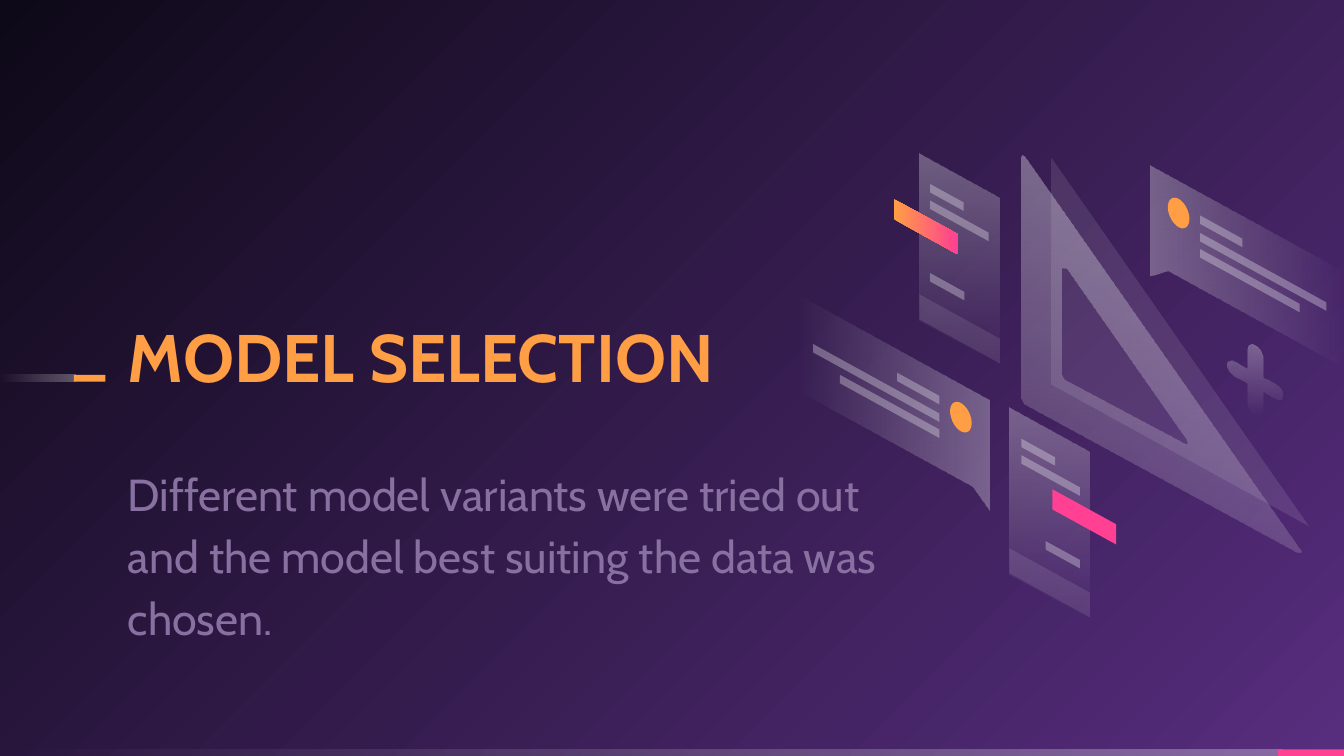
from math import cos, sin, pi
from lxml.etree import SubElement
from pptx import Presentation
from pptx.dml.color import RGBColor
from pptx.enum.shapes import MSO_SHAPE
from pptx.enum.text import MSO_ANCHOR, MSO_AUTO_SIZE, PP_ALIGN
from pptx.oxml.ns import qn
from pptx.util import Inches, Pt

COLORS = {"white": "FFFFFF", "orange": "FF9E44", "pink": "FF4093",
          "mauve": "8870A0", "violet": "572D7E", "night": "0E0918"}
# A fill is a list of (color, opacity) stops and an angle
FADE = [("white", 30), ("white", 0)]
LINE = [("white", 30)]
PALE = [("white", 10)]
ORANGE, PINK = [("orange", 100)], [("pink", 100)]
SLOPE = 0.55  # fall of the skewed artwork, per unit of width

deck = Presentation()
deck.slide_width = Inches(10)
deck.slide_height = deck.slide_width * 9 // 16
CELL = deck.slide_width / 100  # grid of 100 columns, square cells
slide = deck.slides.add_slide(deck.slide_layouts[5])
shapes = slide.shapes


def paint(shape, stops, angle=0):
    """Fill a shape with one color or a gradient, without line or shadow."""
    shape.shadow.inherit = False
    shape.line.fill.background()
    if len(stops) == 1:
        shape.fill.solid()
        shape.fill.fore_color.rgb = RGBColor.from_string(COLORS[stops[0][0]])
    else:
        shape.fill.gradient()
        shape.fill.gradient_angle = -angle % 360
        for stop, (name, _) in zip(shape.fill.gradient_stops, stops):
            stop.color.rgb = RGBColor.from_string(COLORS[name])
    nodes = shape._element.spPr.iter(qn("a:srgbClr"))
    for node, (_, alpha) in zip(nodes, stops):
        if alpha < 100:
            SubElement(node, qn("a:alpha"), val=str(alpha * 1000))


def box(u, v, w, h):
    """Corners of a block before it is skewed."""
    return [[(u, v), (u + w, v), (u + w, v + h), (u, v + h)]]


# Background glow from the bottom right corner
back = slide.background.fill
back.gradient()
for stop, name in zip(back.gradient_stops, ("violet", "night")):
    stop.color.rgb = RGBColor.from_string(COLORS[name])
grad = next(slide._element.iter(qn("a:gradFill")))
grad.remove(grad.find(qn("a:lin")))
glow = SubElement(grad, qn("a:path"), path="circle")
SubElement(glow, qn("a:fillToRect"), l="100000", t="100000")

# Footer bar and title dash
for x, y, w, stops in [(0, 55.75, 95.4, FADE), (95.1, 55.75, 4.9, PINK),
                       (0, 27.9, 5.6, FADE), (5.5, 27.9, 2.35, ORANGE)]:
    bar = shapes.add_shape(MSO_SHAPE.RECTANGLE, *(int(n * CELL) for n in (x, y, w, 0.5)))
    paint(bar, stops, 180)

# Title and subtitle
sub = shapes.add_textbox(0, 0, 0, 0)
for item, top, high, text, size, name, gap in [
        (shapes.title, 22.9, 12.7, "MODEL SELECTION", 36, "orange", 0.9),
        (sub, 34.15, 4.7, "Different model variants were tried out and the model "
         "best suiting the data was chosen.", 24, "mauve", 1.15)]:
    item.left, item.top = int(9.5 * CELL), int(top * CELL)
    item.width, item.height = int(55.9 * CELL), int(high * CELL)
    frame = item.text_frame
    frame.word_wrap, frame.auto_size = True, MSO_AUTO_SIZE.NONE
    frame.margin_left = frame.margin_right = frame.margin_top = frame.margin_bottom = 0
    frame.vertical_anchor = MSO_ANCHOR.TOP
    para = frame.paragraphs[0]
    para.alignment, para.line_spacing = PP_ALIGN.LEFT, gap
    run = para.add_run()
    run.text = text
    run.font.name, run.font.size = "Cabin", Pt(size)
    run.font.bold = item is not sub
    run.font.color.rgb = RGBColor.from_string(COLORS[name])
shapes.title.text_frame.vertical_anchor = MSO_ANCHOR.BOTTOM
shapes.title.text_frame.margin_bottom = int(6.05 * CELL)
sub.text_frame.paragraphs[0].space_after = Pt(8)

# Artwork parts: origin, side, rings, stops, angle
art = []

# Set square and its shade
art.append(((78.2, 11.7), 1, [[(0, 0), (19.2, 16.9), (0, 16.9)]], PALE, 0))
edge = [(20.6, 18.27), (20.85, 18.08), (20.7, 17.92), (0.3, 0.03), (0.1, 0),
        (0, 0.2), (0, 18.1), (0.2, 18.4)]
hole = [(3, 6.85), (3.15, 6.67), (3.4, 6.63), (12.3, 14.43), (12.35, 14.7),
        (12.2, 14.8), (3.2, 14.94), (3, 14.65)]
art.append(((76, 11.5), 1, [edge, hole], [("white", 40), ("white", 10)], 110))

# Speech cards, the left one mirrored
turns = [2 * pi * n / 48 for n in range(48)]
dot = [(2.1 + 0.8 * cos(t), 2.4 + 1.05 * sin(t)) for t in turns]
card = [(0, 0), (14.4, 0), (14.4, 7.1), (1.3, 7.1), (0, 8.2)]
for spot, side, angle in [((85.6, 12.3), 1, 0), ((73.6, 29.8), -1, 180)]:
    art.append((spot, side, [card], FADE, angle))
    art.append((spot, side, [dot], ORANGE, 0))
    for v, w in [(1.7, 3.15), (3, 9.4), (4.2, 7.4)]:
        art.append((spot, side, box(3.7, v, w, 0.63), LINE, 0))

# Panels with a tag, a foot and three lines
for spot, tag, stops, first, last in [
        ((68.4, 11.4), (-1.9, 4.45), [("orange", 100), ("pink", 100)], 0.8, 0.8),
        ((75.1, 30.3), (3.2, 4.34), PINK, 0.9, 2.7)]:
    art.append((spot, 1, box(0, 0, 6, 12.4), FADE, 90))
    art.append((spot, 1, box(*tag, 4.75, 1.5), stops, 0))
    art.append((spot, 1, box(0, 10.5, 6, 1.85), PALE, 0))
    for u, v, w in [(first, 1.85, 2.5), (first, 3.08, 4.35), (last, 8.48, 2.55)]:
        art.append((spot, 1, box(u, v, w, 0.63), LINE, 0))

# Plus sign: four round arms, each followed by an inner corner
plus = []
for arm, reach in enumerate((1.5, 2, 1.5, 2)):
    ends = [(reach + 0.55 * cos(t), 0.55 * sin(t))
            for t in (pi * n / 12 for n in range(-6, 7))]
    c, s = cos(arm * pi / 2), sin(arm * pi / 2)
    for a, b in ends + [(0.55, 0.55)]:
        plus.append((a * c - b * s, a * s + b * c))
art.append(((93.35, 28.3), 1, [plus], FADE, 90))

# Skew the parts and draw them
for (x, y), side, rings, stops, angle in art:
    pen = None
    for ring in rings:
        dots = [(round((x + side * u) * CELL), round((y + side * SLOPE * u + v) * CELL))
                for u, v in ring]
        if pen is None:
            pen = shapes.build_freeform(*dots[0])
        else:
            pen.move_to(*dots[0])
        pen.add_line_segments(dots[1:], close=True)
    paint(pen.convert_to_shape(), stops, angle)

deck.save("out.pptx")
